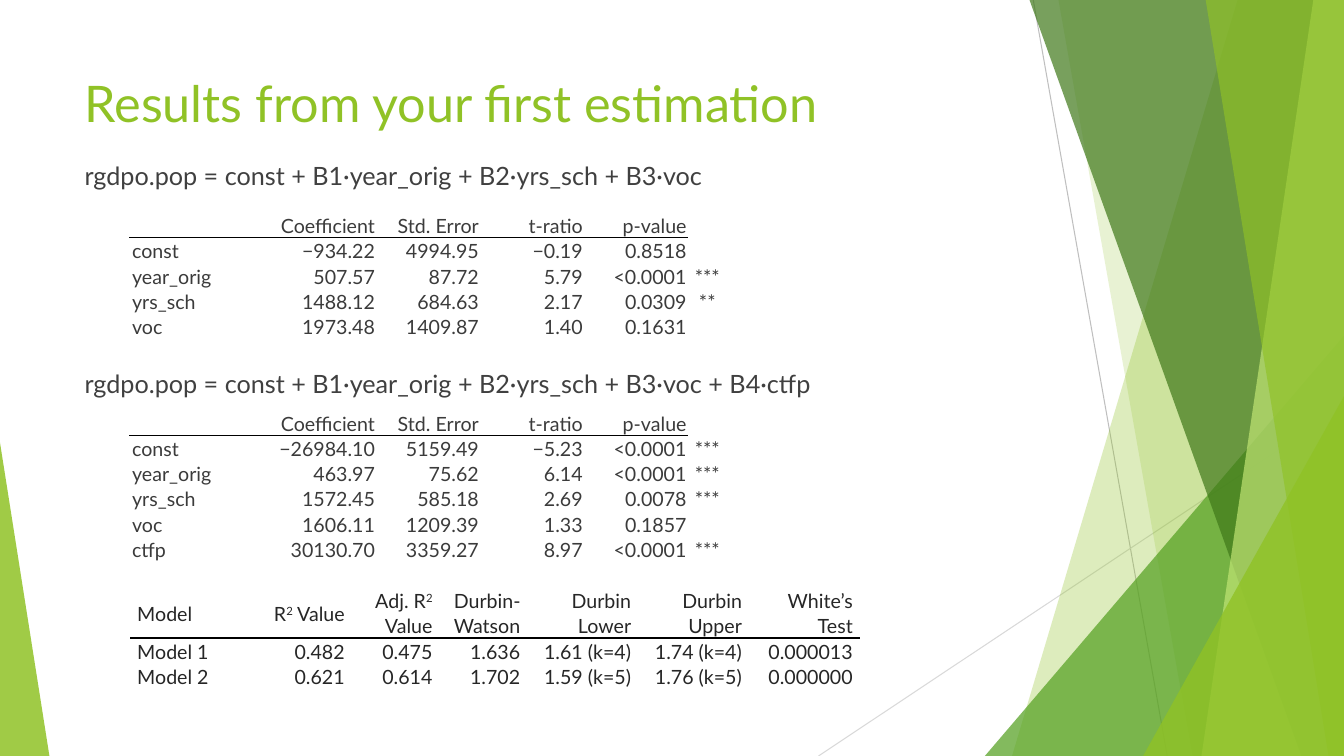
from dataclasses import dataclass

from lxml.etree import SubElement
from pptx import Presentation
from pptx.dml.color import RGBColor
from pptx.enum.shapes import MSO_CONNECTOR, MSO_SHAPE
from pptx.enum.text import MSO_ANCHOR, PP_ALIGN
from pptx.oxml.ns import qn
from pptx.shapes.autoshape import Shape
from pptx.slide import Slide
from pptx.table import _Cell as Cell
from pptx.text.text import TextFrame
from pptx.util import Inches, Pt

WIDE, HIGH = Inches(13.333), Inches(7.5)
ROW = 3.33
HEX = {
    "lime": "90C226", "green": "54A021", "dark": "3F7819", "pale": "C0E474",
    "title": "90C226", "body": "404040", "cell": "3B3B3B", "ink": "262626",
    "black": "000000", "white": "FFFFFF", "gray": "BFBFBF", "light": "D9D9D9",
}


@dataclass
class Line:
    """A thin line; ends in percent of the slide."""
    start: tuple[float, float]
    end: tuple[float, float]
    color: str


@dataclass
class Band:
    """A full-height band from a slanted left edge to the right side."""
    top: float
    base: float
    color: str
    alpha: int


@dataclass
class Wedge:
    """A triangle with its apex at one side."""
    box: tuple[float, float, float, float]
    apex: float
    color: str
    alpha: int


@dataclass
class Grid:
    """A table of results; lengths in percent of the slide."""
    top: float
    cols: list[float]
    cells: list[str]
    color: str
    pad: float
    rule: int
    edge: str | None = None
    head: int = 1


BACK = [
    Line((76.88, 0), (86.85, 100), "gray"),
    Line((100, 53.73), (60.9, 100), "light"),
    Band(92.1, 75.3, "lime", 30),
    Band(78.75, 88.73, "lime", 20),
    Wedge((73.28, 44.4, 26.72, 55.6), 1, "green", 72),
    Band(76.58, 96.83, "dark", 70),
    Band(97.73, 89.4, "pale", 70),
    Band(89.7, 98.85, "lime", 65),
    Wedge((85.05, 52.4, 14.95, 47.6), 1, "lime", 80),
    Wedge((0, 58.53, 3.68, 41.47), 0, "lime", 85),
]
FIT = [10.65] + [7.73] * 4 + [2.78]
HEAD = "|Coefficient|Std. Error|t-ratio|p-value|"
GRIDS = [
    Grid(28.13, FIT, [
        HEAD,
        "const|−934.22|4994.95|−0.19|0.8518|",
        "year_orig|507.57|87.72|5.79|<0.0001|***",
        "yrs_sch|1488.12|684.63|2.17|0.0309|**",
        "voc|1973.48|1409.87|1.40|0.1631|",
    ], "cell", 0.15, 5, "white"),
    Grid(54.27, FIT, [
        HEAD,
        "const|−26984.10|5159.49|−5.23|<0.0001|***",
        "year_orig|463.97|75.62|6.14|<0.0001|***",
        "yrs_sch|1572.45|585.18|2.69|0.0078|***",
        "voc|1606.11|1209.39|1.33|0.1857|",
        "ctfp|30130.70|3359.27|8.97|<0.0001|***",
    ], "cell", 0.15, 5, "white"),
    Grid(77.73, [9.98] + [6.53] * 3 + [8.25] * 3, [
        "Model|R^2^ Value|Adj. R^2 ^Value|Durbin-Watson"
        "|Durbin Lower|Durbin Upper|White’s Test",
        "Model 1|0.482|0.475|1.636|1.61 (k=4)|1.74 (k=4)|0.000013",
        "Model 2|0.621|0.614|1.702|1.59 (k=5)|1.76 (k=5)|0.000000",
    ], "ink", 0.53, 7, head=2),
]


def px(share: float) -> int:
    """Turn a percent of the slide's width into a length."""
    return round(WIDE * share / 100)


def py(share: float) -> int:
    """Turn a percent of the slide's height into a length."""
    return round(HIGH * share / 100)


def tint(name: str) -> RGBColor:
    """Look up a colour by name."""
    return RGBColor.from_string(HEX[name])


def write(frame: TextFrame, text: str, *, size: float, color: str,
          align: PP_ALIGN = PP_ALIGN.LEFT, first: bool = True, before: float = 0,
          after: float = 0, lead: float = 1) -> None:
    """Write one paragraph; text between carets is raised."""
    para = frame.paragraphs[0] if first else frame.add_paragraph()
    para.alignment, para.line_spacing = align, lead
    para.space_before, para.space_after = Pt(before), Pt(after)
    for spot, part in enumerate(text.split("^")):
        if part:
            run = para.add_run()
            run.text = part
            run.font.size, run.font.name = Pt(size), "Lato"
            run.font.color.rgb = tint(color)
            if spot % 2:
                run.font._element.set("baseline", "30000")
    if not text:
        SubElement(para._p, qn("a:endParaRPr"), sz=str(round(size * 100)))


def paint(shape: Shape, color: str, alpha: int) -> None:
    """Give a shape a sheer fill and no outline."""
    shape.shadow.inherit = False
    shape.fill.solid()
    shape.fill.fore_color.rgb = tint(color)
    shape.line.fill.background()
    tone = next(shape._element.spPr.iter(qn("a:srgbClr")))
    SubElement(tone, qn("a:alpha"), val=str(alpha * 1000))


def draw(slide: Slide, item: Line | Band | Wedge) -> None:
    """Draw one part of the backdrop."""
    if isinstance(item, Line):
        (x, y), (right, base) = item.start, item.end
        line = slide.shapes.add_connector(
            MSO_CONNECTOR.STRAIGHT, px(x), py(y), px(right), py(base))
        line.line.color.rgb, line.line.width = tint(item.color), Pt(0.75)
        SubElement(line._element.spPr, qn("a:effectLst"))
        return
    if isinstance(item, Band):
        top = py(-0.11)
        path = slide.shapes.build_freeform(px(item.top), top)
        path.add_line_segments([(WIDE, top), (WIDE, HIGH), (px(item.base), HIGH)])
        shape = path.convert_to_shape()
    else:
        x, y, w, h = item.box
        shape = slide.shapes.add_shape(
            MSO_SHAPE.ISOSCELES_TRIANGLE, px(x), py(y), px(w), py(h))
        shape.adjustments[0] = item.apex
    paint(shape, item.color, item.alpha)


def edge(cell: Cell, side: str, color: str | None) -> None:
    """Set one border of a cell."""
    line = SubElement(cell._tc.get_or_add_tcPr(), qn(f"a:ln{side}"), w=str(Pt(1)))
    if color:
        fill = SubElement(line, qn("a:solidFill"))
        SubElement(fill, qn("a:srgbClr"), val=HEX[color])
    else:
        SubElement(line, qn("a:noFill"))


def chart(slide: Slide, grid: Grid) -> None:
    """Draw one table of results."""
    high = [ROW * grid.head] + [ROW] * (len(grid.cells) - 1)
    table = slide.shapes.add_table(
        len(high), len(grid.cols), px(9.68), py(grid.top),
        px(sum(grid.cols)), py(sum(high))).table
    table.first_row = table.horz_banding = False
    for col, wide in zip(table.columns, grid.cols):
        col.width = px(wide)
    for r, (row, text) in enumerate(zip(grid.cells, high)):
        table.rows[r].height = py(text)
        for c, word in enumerate(row.split("|")):
            cell = table.cell(r, c)
            cell.margin_left = cell.margin_right = px(grid.pad)
            cell.margin_top = cell.margin_bottom = 0
            cell.vertical_anchor = MSO_ANCHOR.MIDDLE
            for side in "LRTB":
                ruled = c < grid.rule and (r, side) in ((0, "B"), (1, "T"))
                edge(cell, side, "black" if ruled else grid.edge)
            cell.fill.background()
            align = (PP_ALIGN.LEFT if c == 0 else
                     PP_ALIGN.CENTER if c >= grid.rule else PP_ALIGN.RIGHT)
            write(cell.text_frame, word, size=14, color=grid.color,
                  align=align, after=8, lead=1.07)


def box(slide: Slide, top: float, high: float) -> TextFrame:
    """Add a text box at the left margin."""
    frame = slide.shapes.add_textbox(px(5.55), py(top), px(70.5), py(high)).text_frame
    frame.word_wrap = True
    return frame


def main() -> None:
    """Build and save the slide."""
    deck = Presentation()
    deck.slide_width, deck.slide_height = WIDE, HIGH
    slide = deck.slides.add_slide(deck.slide_layouts[6])
    for item in BACK:
        draw(slide, item)
    body = box(slide, 20.53, 67.6)
    model = "rgdpo.pop = const + B1·year_orig + B2·yrs_sch + B3·voc"
    write(body, model, size=18, color="body")
    write(body, model + " + B4·ctfp", size=18, color="body", first=False, before=127)
    write(box(slide, 8.93, 19.2), "Results from your first estimation",
          size=36, color="title")
    for grid in GRIDS:
        chart(slide, grid)
    deck.save("out.pptx")


if __name__ == "__main__":
    main()
